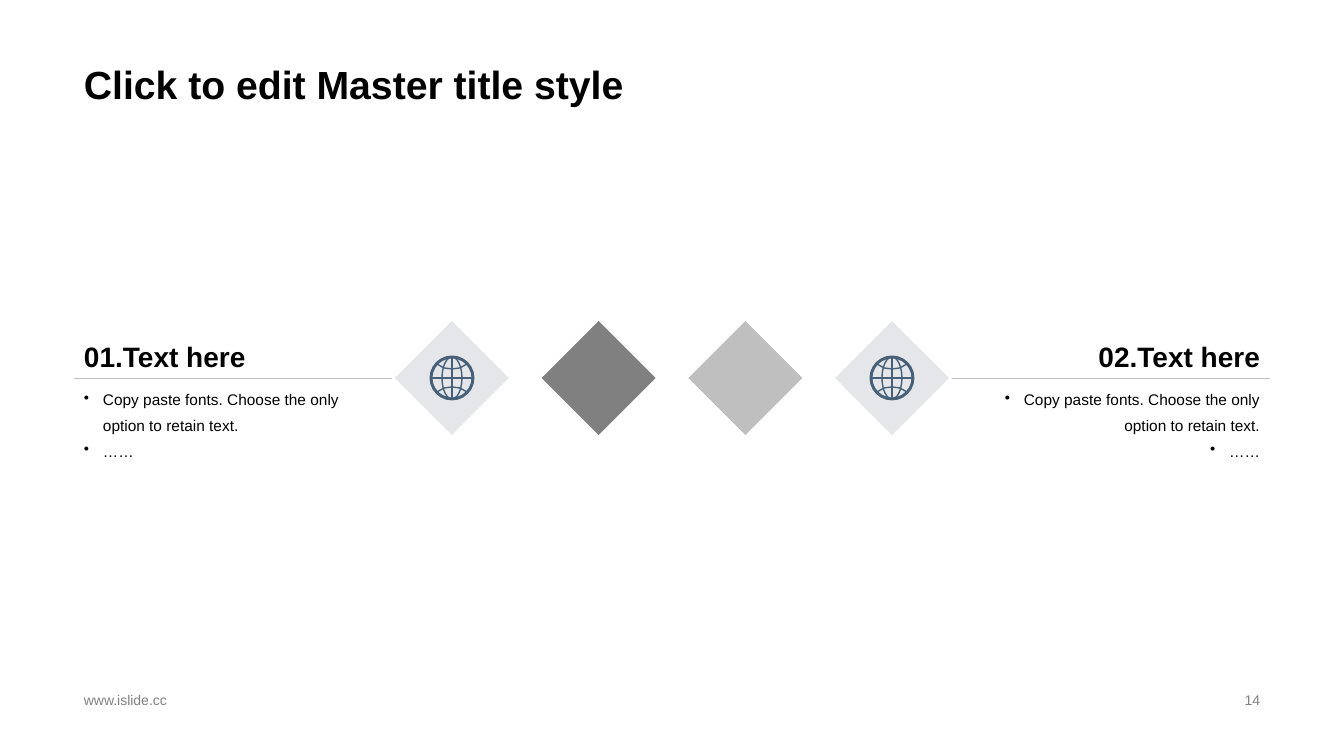
import pptx
import pptx.dml.color
import pptx.enum.shapes
import pptx.enum.text
import pptx.oxml
import pptx.oxml.ns
import pptx.util

SHAPES = pptx.enum.shapes.MSO_SHAPE
ANCHOR = pptx.enum.text.MSO_ANCHOR
ALIGN = pptx.enum.text.PP_ALIGN
FONT = "Arial"
COLORS = {"ink": "000000", "footer": "808080", "rule": "BFBFBF", "pale": "E4E6EA",
          "dark": "808080", "middle": "BFBFBF", "globe": "475F77"}

TITLE = "Click to edit Master title style"
FOOTERS = [("www.islide.cc", 74, 457, ALIGN.LEFT), ("14", 950, 320, ALIGN.RIGHT)]
BULLETS = ["Copy paste fonts. Choose the only option to retain text.", "……"]
PANELS = [("01.Text here", 74, ALIGN.LEFT), ("02.Text here", 952, ALIGN.RIGHT)]
DIAMONDS = [("pale", True), ("dark", False), ("middle", False), ("pale", True)]

SLIDE_WIDTH, SLIDE_HEIGHT = 1344, 756
MARGIN, MIDLINE = 74, 378
PANEL_WIDTH, HEADING_HEIGHT, BODY_HEIGHT = 318, 48, 90
DIAMOND_SIZE, DIAMOND_SPAN = 114, 440
SCALE = 914400 / 100.8

GLOBE_RADIUS = 21
GLOBE_OVALS = [(42, 42, 2.1), (20, 42, 1)]
GLOBE_PARALLEL = [(-15, 14), (-8, 10), (0, 9), (8, 10), (15, 14)]
GLOBE_LINE = 1


def px(value):
    return pptx.util.Emu(round(value * SCALE))


def rgb(name):
    return pptx.dml.color.RGBColor.from_string(COLORS[name])


def add_text(slide, box, lines, size, color="ink", bold=False, align=ALIGN.LEFT,
             anchor=ANCHOR.TOP, spacing=None, bullets=False):
    shape = slide.shapes.add_textbox(*map(px, box))
    frame = shape.text_frame
    frame.word_wrap = True
    frame.vertical_anchor = anchor
    for index, line in enumerate(lines):
        paragraph = frame.add_paragraph() if index else frame.paragraphs[0]
        paragraph.alignment = align
        if spacing:
            paragraph.line_spacing = spacing
        if bullets:
            properties = paragraph._p.get_or_add_pPr()
            indent = px(19)
            properties.set("marL", str(indent))
            properties.set("indent", str(-indent))
            properties.append(pptx.oxml.parse_xml(
                '<a:buChar %s char="•"/>' % pptx.oxml.ns.nsdecls("a")))
        run = paragraph.add_run()
        run.text = line
        run.font.name = FONT
        run.font.size = pptx.util.Pt(size)
        run.font.bold = bold
        run.font.color.rgb = rgb(color)


def add_line(slide, start, end, color, width):
    connector = slide.shapes.add_connector(
        pptx.enum.shapes.MSO_CONNECTOR.STRAIGHT, *map(px, start + end))
    connector.line.color.rgb = rgb(color)
    connector.line.width = pptx.util.Pt(width)
    connector._element.spPr.append(
        pptx.oxml.parse_xml("<a:effectLst %s/>" % pptx.oxml.ns.nsdecls("a")))


def add_centered(slide, kind, center_x, width, height):
    return slide.shapes.add_shape(kind, px(center_x - width / 2), px(MIDLINE - height / 2),
                                  px(width), px(height))


def stroke_globe(shape, width):
    shape.shadow.inherit = False
    shape.fill.background()
    shape.line.color.rgb = rgb("globe")
    shape.line.width = pptx.util.Pt(width)


def add_globe(slide, center):
    for width, height, line_width in GLOBE_OVALS:
        stroke_globe(add_centered(slide, SHAPES.OVAL, center, width, height), line_width)
    for across, down in ((GLOBE_RADIUS, 0), (0, GLOBE_RADIUS)):
        add_line(slide, (center - across, MIDLINE - down), (center + across, MIDLINE + down),
                 "globe", GLOBE_LINE)
    for side in (-1, 1):
        points = [(px(center + x), px(MIDLINE + side * y)) for x, y in GLOBE_PARALLEL]
        builder = slide.shapes.build_freeform(*points[0])
        builder.add_line_segments(points[1:], close=False)
        stroke_globe(builder.convert_to_shape(), GLOBE_LINE)


def main():
    presentation = pptx.Presentation()
    presentation.slide_width = px(SLIDE_WIDTH)
    presentation.slide_height = px(SLIDE_HEIGHT)
    slide = presentation.slides.add_slide(presentation.slide_layouts[6])

    add_text(slide, (MARGIN, 0, SLIDE_WIDTH - 2 * MARGIN, 113), [TITLE], 28, bold=True,
             anchor=ANCHOR.BOTTOM, spacing=0.9)
    for text, left, width, align in FOOTERS:
        add_text(slide, (left, 688, width, 23), [text], 10, "footer", align=align,
                 anchor=ANCHOR.MIDDLE)

    pitch = DIAMOND_SPAN / (len(DIAMONDS) - 1)
    for index, (color, has_globe) in enumerate(DIAMONDS):
        center = (SLIDE_WIDTH - DIAMOND_SPAN) / 2 + index * pitch
        diamond = add_centered(slide, SHAPES.DIAMOND, center, DIAMOND_SIZE, DIAMOND_SIZE)
        diamond.shadow.inherit = False
        diamond.fill.solid()
        diamond.fill.fore_color.rgb = rgb(color)
        diamond.line.fill.background()
        if has_globe:
            add_globe(slide, center)

    for heading, left, align in PANELS:
        add_text(slide, (left, MIDLINE - HEADING_HEIGHT, PANEL_WIDTH, HEADING_HEIGHT),
                 [heading], 20, bold=True, align=align, anchor=ANCHOR.BOTTOM)
        add_text(slide, (left, MIDLINE, PANEL_WIDTH, BODY_HEIGHT), BULLETS, 11,
                 align=align, spacing=1.4, bullets=True)
        add_line(slide, (left, MIDLINE), (left + PANEL_WIDTH, MIDLINE), "rule", 0.25)

    presentation.save("out.pptx")


if __name__ == "__main__":
    main()
